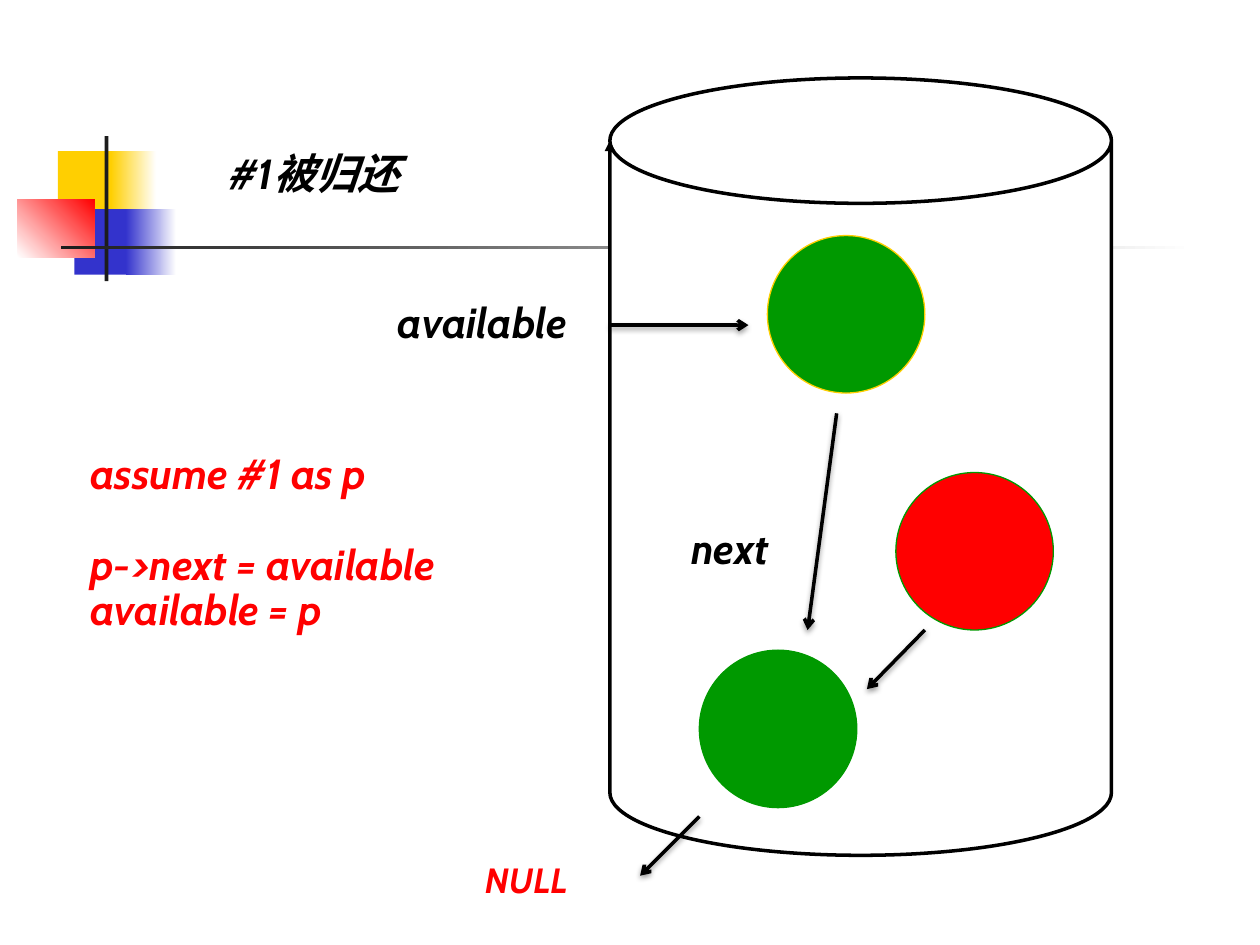
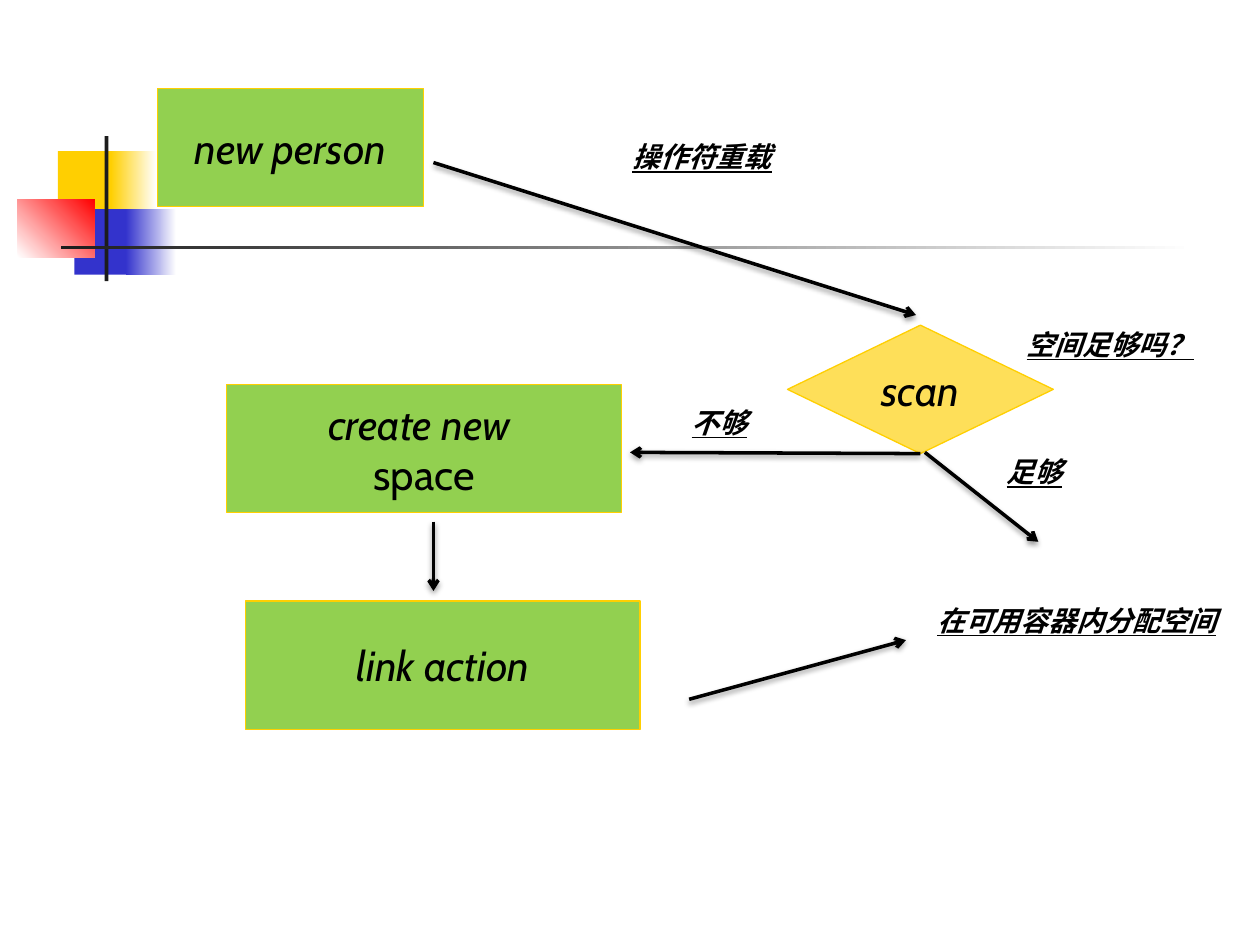
"""Build two slides on returning memory to a pool and on overloading new."""
import dataclasses

import lxml.etree
import pptx
import pptx.dml.color
import pptx.enum.dml
import pptx.enum.shapes
import pptx.enum.text
import pptx.oxml.ns
import pptx.util

Pt = pptx.util.Pt
SHAPE = pptx.enum.shapes.MSO_SHAPE


@dataclasses.dataclass(frozen=True)
class Theme:
    font: str = "Cabin"
    black: str = "000000"
    white: str = "FFFFFF"
    ink: str = "1C1C1C"
    gold: str = "FFCF01"
    blue: str = "3333CC"
    red: str = "FF0000"
    green: str = "009900"
    lime: str = "92D050"
    sand: str = "FEDF59"
    large: int = 24
    medium: int = 20
    small: int = 16
    leading: float = 0.9
    blank_line: int = 26
    thick: float = 2
    thin: float = 0.75


T = Theme()

MOTIF = [
    ((33.1, 86.4, 34.6, 37.4), (T.gold,), 0),
    ((63.4, 86.4, 25.9, 37.4), (T.gold, T.white), 0),
    ((42.5, 119.5, 33.1, 37.4), (T.blue,), 0),
    ((72, 119.5, 28.8, 37.4), (T.blue, T.white), 0),
    ((10.1, 113.8, 43.9, 33.1), (T.white, T.red), 45),
    ((59.8, 77.8, 2.2, 82.8), (T.ink,), 0),
    ((34.6, 140.4, 648, 2.2), (T.ink, T.white), 0),
]

POOL = (348.5, 44.6, 286.6, 444.2)
DIAMETER = 90
BLOCKS = [
    ((438.5, 134.6), T.green, T.gold),
    ((511.9, 270), T.red, T.green),
    ((399.6, 371.5), T.green, T.green),
]
POOL_ARROWS = [
    ((348.5, 185.8), (427.7, 185.8)),
    ((478.1, 236.2), (461.5, 360)),
    ((528.5, 360), (495.4, 393.8)),
    ((399.6, 466.6), (365.8, 500.4)),
]
POOL_LABELS = [
    (["#1被归还"], (123.8, 84.2, 185.8, 33.1), T.large, T.black),
    (["available"], (220.3, 169.2, 139.7, 33.1), T.large, T.black),
    (["next"], (388.1, 298.1, 83.5, 33.1), T.large, T.black),
    (["NULL"], (270, 489.6, 84.2, 28.8), T.medium, T.red),
    (["assume #1 as p", "p->next = available", "available = p"],
     (44.6, 255.6, 258.5, 112.3), T.large, T.red),
]
SPACED_LINE = "p->next = available"

STEPS = {
    "new": (SHAPE.RECTANGLE, (90, 50.4, 151.9, 67.7), T.lime, ["new person"]),
    "scan": (SHAPE.FLOWCHART_DECISION, (450, 185.8, 151.9, 73.4), T.sand, ["scan"]),
    "create": (SHAPE.RECTANGLE, (129.6, 219.6, 225.4, 73.4), T.lime,
               ["create new ", "space"]),
    "link": (SHAPE.RECTANGLE, (140.4, 343.4, 225.4, 73.4), T.lime, ["link action"]),
}
UPRIGHT_LINE = "space"
STEP_ARROWS = [
    ((247.7, 92.9), (523.4, 180)),
    ("scan", (360, 258.5)),
    ((528.5, 258.5), (593.3, 309.6)),
    ((393.8, 399.6), (517.7, 365.8)),
    ((247.7, 298.1), (247.7, 337.7)),
]
NOTE_HEIGHT = 24.5
NOTES = [
    ("操作符重载", (354.2, 78.5), 95),
    ("空间足够吗？", (579.6, 185.8), 112.3),
    ("足够", (568.1, 258.5), 46.8),
    ("在可用容器内分配空间", (528.5, 343.4), 177.1),
    ("不够", (388.1, 230.4), 46.8),
]


def rgb(color):
    return pptx.dml.color.RGBColor.from_string(color)


def pts(values):
    return [Pt(v) for v in values]


def sub(parent, tag, **attrs):
    return lxml.etree.SubElement(parent, pptx.oxml.ns.qn(tag), attrs)


def add_shape(s, kind, box, fill, line=None, width=T.thin):
    sp = s.shapes.add_shape(kind, *pts(box))
    sp.shadow.inherit = False
    sp.fill.solid()
    sp.fill.fore_color.rgb = rgb(fill)
    if line:
        sp.line.color.rgb = rgb(line)
        sp.line.width = Pt(width)
    else:
        sp.line.fill.background()
    return sp


def add_motif(s):
    for box, colors, angle in MOTIF:
        sp = add_shape(s, SHAPE.RECTANGLE, box, colors[0])
        if len(colors) > 1:
            sp.fill.gradient()
            sp.fill.gradient_angle = angle
            for stop, color in zip(sp.fill.gradient_stops, colors):
                stop.color.rgb = rgb(color)


def add_head(sp, kind):
    sub(sp.line._get_or_add_ln(), "a:tailEnd", type=kind)


def add_arrow(s, start, end, steps=None):
    origin = end if steps and start in steps else start
    cx = s.shapes.add_connector(pptx.enum.shapes.MSO_CONNECTOR.STRAIGHT,
                                *pts(origin), *pts(end))
    if origin is not start:
        cx.begin_connect(steps[start], 2)
    cx.line.color.rgb = rgb(T.black)
    cx.line.width = Pt(T.thick)
    add_head(cx, "arrow")
    effects = sub(cx._element.spPr, "a:effectLst")
    shadow = sub(effects, "a:outerShdw", blurRad="40000", dist="20000",
                 dir="5400000", rotWithShape="0")
    sub(sub(shadow, "a:srgbClr", val=T.black), "a:alpha", val="38000")


def write(tf, lines, size, color, bold=False, underline=None, align=None, leading=None):
    for i, line in enumerate(lines):
        p = tf.add_paragraph() if i else tf.paragraphs[0]
        p.text = line
        p.alignment = align
        p.line_spacing = leading
        if line == SPACED_LINE:
            p.space_before = Pt(T.blank_line)
        f = p.font
        f.name, f.size, f.bold, f.underline = T.font, Pt(size), bold, underline
        f.italic = line != UPRIGHT_LINE
        f.color.rgb = rgb(color)


def add_label(s, lines, box, size, color, wrap=True, underline=None):
    tf = s.shapes.add_textbox(*pts(box)).text_frame
    tf.word_wrap = wrap
    tf.auto_size = pptx.enum.text.MSO_AUTO_SIZE.SHAPE_TO_FIT_TEXT
    write(tf, lines, size, color, bold=True, underline=underline, leading=T.leading)


def build_pool(s):
    add_head(add_shape(s, SHAPE.CAN, POOL, T.white, T.black, T.thick), "triangle")
    for corner, fill, line in BLOCKS:
        add_shape(s, SHAPE.OVAL, (*corner, DIAMETER, DIAMETER), fill, line)
    for start, end in POOL_ARROWS:
        add_arrow(s, start, end)
    for label in POOL_LABELS:
        add_label(s, *label)


def build_flow(s):
    steps = {}
    for name, (kind, box, fill, lines) in STEPS.items():
        sp = steps[name] = add_shape(s, kind, box, fill, T.gold)
        tf = sp.text_frame
        tf.word_wrap = False
        tf.vertical_anchor = pptx.enum.text.MSO_ANCHOR.MIDDLE
        write(tf, lines, T.large, T.black, align=pptx.enum.text.PP_ALIGN.CENTER)
    for start, end in STEP_ARROWS:
        add_arrow(s, start, end, steps)
    for text, corner, width in NOTES:
        add_label(s, [text], (*corner, width, NOTE_HEIGHT), T.small, T.black,
                  wrap=False, underline=True)


def main():
    prs = pptx.Presentation()
    prs.slide_width, prs.slide_height = Pt(720), Pt(540)
    for build in (build_pool, build_flow):
        s = prs.slides.add_slide(prs.slide_layouts[6])
        add_motif(s)
        build(s)
    prs.save("out.pptx")


if __name__ == "__main__":
    main()
